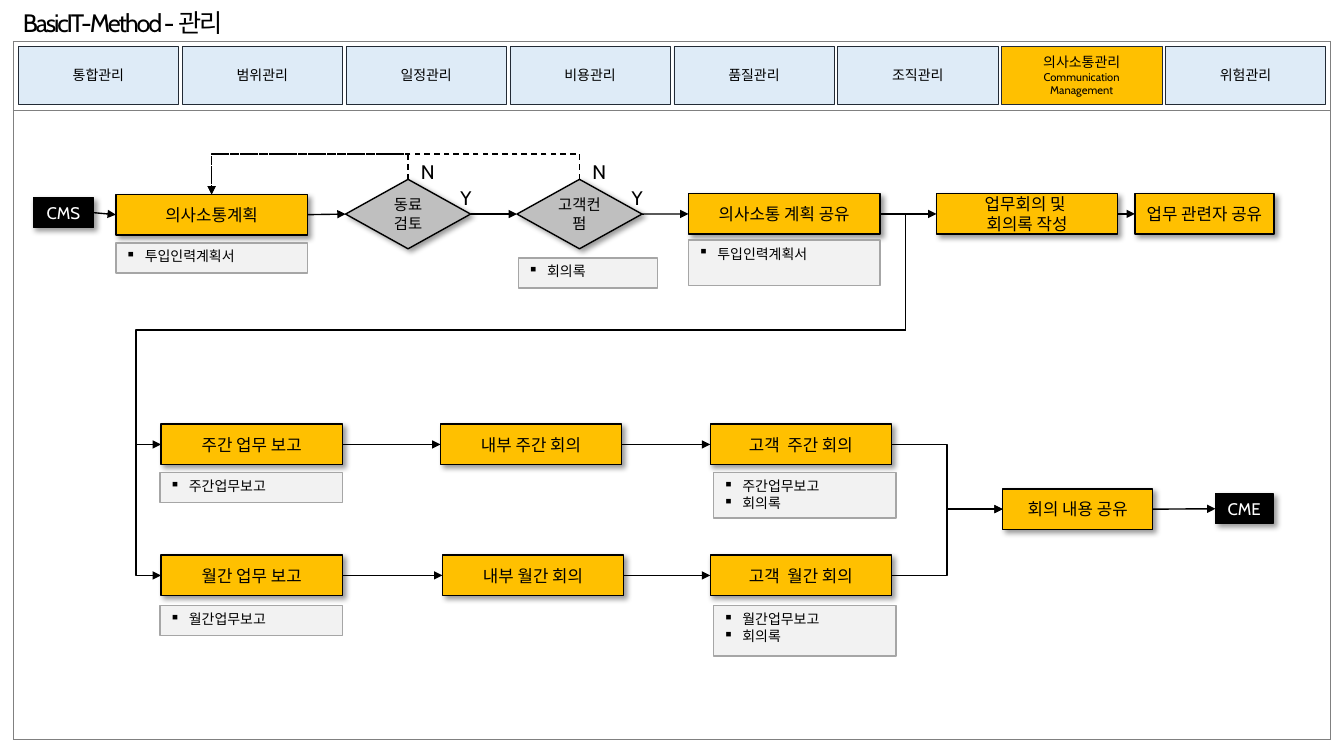
from lxml import etree
from pptx import Presentation
from pptx import util as u
from pptx.dml.color import RGBColor
from pptx.enum import dml, shapes, text
from pptx.oxml.ns import qn

BLACK = RGBColor(0x00, 0x00, 0x00)
WHITE = RGBColor(0xFF, 0xFF, 0xFF)
AMBER = RGBColor(0xFF, 0xC0, 0x00)
PALE_BLUE = RGBColor(0xDE, 0xEB, 0xF7)
NAVY = RGBColor(0x22, 0x2A, 0x35)
SILVER = RGBColor(0xBF, 0xBF, 0xBF)
NOTE_FILL = RGBColor(0xF2, 0xF2, 0xF2)
NOTE_EDGE = RGBColor(0xA6, 0xA6, 0xA6)

RECT = shapes.MSO_SHAPE.RECTANGLE
DIAMOND = shapes.MSO_SHAPE.DIAMOND
TOP, LEFT, RIGHT = 0, 1, 3
STEP_HEIGHT = 1.02
DETOUR = u.Cm(0.64)
AREAS = ["통합관리", "범위관리", "일정관리", "비용관리", "품질관리", "조직관리",
         "의사소통관리", "위험관리"]
CURRENT_AREA = "의사소통관리"


def add_xml(parent, tag, **attributes):
    """Append a DrawingML element and return it."""
    return etree.SubElement(parent, qn(tag), {key: str(value) for key, value in attributes.items()})


def write(para, words, size, color=BLACK, font="Cabin"):
    """Fill a paragraph and format its runs."""
    para.text = words
    for span in para.runs:
        for name, value in {"size": u.Pt(size), "name": font}.items():
            setattr(span.font, name, value)
        span.font.color.rgb = color
        if font != "Cabin":
            add_xml(span._r.get_or_add_rPr(), "a:ea", typeface=font)


def add_box(page, kind, box, fill, edge, weight=1, shadow=False):
    """Draw a filled shape with wrapped, middle-anchored text."""
    shape = page.shapes.add_shape(kind, *(u.Cm(length) for length in box))
    shape.shadow.inherit = False
    shape.fill.solid()
    shape.fill.fore_color.rgb = fill
    shape.line.color.rgb = edge
    shape.line.width = u.Pt(weight)
    shape.text_frame.word_wrap = True
    shape.text_frame.vertical_anchor = text.MSO_ANCHOR.MIDDLE
    if shadow:
        effects = shape._element.spPr.find(qn("a:effectLst"))
        outer = add_xml(effects, "a:outerShdw", blurRad=u.Pt(4), dist=u.Pt(3),
                        dir=45 * 60000, algn="tl", rotWithShape=0)
        add_xml(add_xml(outer, "a:srgbClr", val=BLACK), "a:alpha", val=40000)
    return shape


def add_step(page, box, words, fill=AMBER, color=BLACK, kind=RECT, size=12):
    """Draw one step of the flow."""
    step = add_box(page, kind, box, fill, BLACK, shadow=True)
    for index, line in enumerate(words.split("\n")):
        frame = step.text_frame
        para = frame.add_paragraph() if index else frame.paragraphs[0]
        para.alignment = text.PP_ALIGN.CENTER
        write(para, line, size, color)
    return step


def add_note(page, box, *items):
    """Draw a grey box that lists the outputs of a step."""
    frame = add_box(page, RECT, box, NOTE_FILL, NOTE_EDGE).text_frame
    frame.vertical_anchor = text.MSO_ANCHOR.TOP
    for index, item in enumerate(items):
        para = frame.add_paragraph() if index else frame.paragraphs[0]
        para.alignment = text.PP_ALIGN.LEFT
        props = para._p.get_or_add_pPr()
        props.set("marL", str(u.Cm(0.48)))
        props.set("indent", str(u.Cm(-0.48)))
        add_xml(props, "a:buChar", char="▪")
        write(para, item, 10, font="Noto Sans CJK KR")


def add_label(page, box, words, size):
    """Place a line of text that does not wrap and return its paragraph."""
    frame = page.shapes.add_textbox(*(u.Cm(length) for length in box)).text_frame
    frame.word_wrap = False
    frame.auto_size = text.MSO_AUTO_SIZE.SHAPE_TO_FIT_TEXT
    write(frame.paragraphs[0], words, size)
    return frame.paragraphs[0]


def add_arrow(page, start, end, sides=(RIGHT, LEFT), elbow=False, dashed=False):
    """Join two steps with an arrow."""
    kind = shapes.MSO_CONNECTOR.ELBOW if elbow else shapes.MSO_CONNECTOR.STRAIGHT
    arrow = page.shapes.add_connector(kind, 0, 0, 0, 0)
    arrow.begin_connect(start, sides[0])
    arrow.end_connect(end, sides[1])
    arrow.line.color.rgb = BLACK
    arrow.line.width = u.Pt(1)
    if dashed:
        arrow.line.dash_style = dml.MSO_LINE.DASH
    add_xml(arrow.get_or_add_ln(), "a:tailEnd", type="triangle")
    add_xml(arrow._element.spPr, "a:effectLst")
    return arrow


def bend(arrow, preset, *ratios):
    """Set the bends of an elbow arrow as shares of its size."""
    outline = arrow._element.spPr.find(qn("a:prstGeom"))
    outline.set("prst", preset)
    guides = outline.find(qn("a:avLst"))
    for number, ratio in enumerate(ratios, 1):
        name = "adj1" if len(ratios) == 1 else f"adj{number}"
        add_xml(guides, "a:gd", name=name, fmla=f"val {round(ratio * 100000)}")


def add_feedback(page, start, end):
    """Lead a rejected review back over the top of the flow."""
    arrow = add_arrow(page, start, end, (TOP, TOP), elbow=True, dashed=True)
    span, drop = arrow.width, arrow.height
    arrow.left, arrow.top = arrow.left + (span - drop) // 2, arrow.top + (drop - span) // 2
    arrow.width, arrow.height = drop, span
    frame = arrow._element.spPr.find(qn("a:xfrm"))
    for name, value in {"rot": 270 * 60000, "flipH": 1, "flipV": 1}.items():
        frame.set(name, str(value))
    bend(arrow, "bentConnector3", -DETOUR / drop)


def add_frame(page, left, top, width, heights):
    """Draw the outlined table behind the slide."""
    holder = page.shapes.add_table(len(heights), 1, u.Cm(left), u.Cm(top),
                                   u.Cm(width), u.Cm(sum(heights)))
    table = holder.table
    table.first_row = table.horz_banding = False
    for row, height in zip(table.rows, heights):
        row.height = u.Cm(height)
        cell = row.cells[0]
        props = cell._tc.get_or_add_tcPr()
        for side in "LRTB":
            line = add_xml(props, f"a:ln{side}", w=u.Pt(0.5))
            add_xml(add_xml(line, "a:solidFill"), "a:srgbClr", val="808080")
        cell.fill.background()


def add_areas(page, left, top, width, height, pitch):
    """Draw the row of management areas."""
    for index, area in enumerate(AREAS):
        fill = AMBER if area == CURRENT_AREA else PALE_BLUE
        box = (left + index * pitch, top, width, height)
        frame = add_box(page, RECT, box, fill, NAVY, 0.25).text_frame
        write(frame.paragraphs[0], area, 10)
        if area == CURRENT_AREA:
            write(frame.add_paragraph(), "Communication Management", 8)
        for para in frame.paragraphs:
            para.alignment = text.PP_ALIGN.CENTER


def add_planning(page, left, top):
    """Draw the planning flow and return its sharing step."""
    start = add_step(page, (left, top + 0.1, 1.52, 0.76), "CMS", BLACK, WHITE)
    plan = add_step(page, (left + 2.08, top + 0.02, 4.83, STEP_HEIGHT), "의사소통계획")
    reviews = []
    for dx, words in [(7.87, "동료\n검토"), (12.19, "고객컨펌")]:
        x, y = left + dx, top - 0.36
        reviews.append(add_step(page, (x, y, 3.15, 1.75), words, SILVER, kind=DIAMOND, size=11))
        add_label(page, (x + 2.64, y + 0.03, 0.81, 0.86), "Y", 14)
        add_label(page, (x + 1.65, y - 0.61, 0.89, 0.86), "N", 14)
    share, minutes, people = [
        add_step(page, (left + dx, top, width, STEP_HEIGHT), words)
        for dx, width, words in [(16.51, 4.83, "의사소통 계획 공유"),
                                 (22.76, 4.57, "업무회의 및 \v회의록 작성"),
                                 (27.76, 3.51, "업무 관련자 공유")]]
    chain = [start, plan, *reviews, share, minutes, people]
    for before, after in zip(chain, chain[1:]):
        add_arrow(page, before, after)
    for review in reviews:
        add_feedback(page, review, plan)
    add_note(page, (left + 2.08, top + 1.24, 4.83, 0.76), "투입인력계획서")
    add_note(page, (left + 12.22, top + 1.62, 3.51, 0.76), "회의록")
    add_note(page, (left + 16.51, top + 1.17, 4.83, 1.14), "투입인력계획서")
    return share


def add_reporting(page, left, top, source):
    """Draw the weekly and monthly reporting flows that follow the source step."""
    share = add_step(page, (left + 21.21, top + 1.63, 3.78, STEP_HEIGHT), "회의 내용 공유")
    finish = add_step(page, (left + 26.57, top + 1.75, 1.45, 0.76), "CME", BLACK, WHITE)
    add_arrow(page, share, finish)
    rows = [("주간", 0, 7.04, 1.22, 1.14), ("월간", 3.3, 7.09, 1.27, 1.27)]
    for period, dy, inner_dx, note_dy, note_height in rows:
        y = top + dy
        names = [(0, f"{period} 업무 보고"), (inner_dx, f"내부 {period} 회의"),
                 (13.84, f"고객  {period} 회의")]
        chain = [add_step(page, (left + dx, y, 4.57, STEP_HEIGHT), words) for dx, words in names]
        for before, after in zip(chain, chain[1:]):
            add_arrow(page, before, after)
        add_arrow(page, chain[-1], share, elbow=True)
        entry = add_arrow(page, source, chain[0], elbow=True)
        detour = DETOUR / entry.width
        bend(entry, "bentConnector5", -detour, u.Cm(2.93) / entry.height, 1 + detour)
        report = f"{period}업무보고"
        add_note(page, (left - 0.03, y + note_dy, 4.6, 0.76), report)
        add_note(page, (left + 13.92, y + note_dy, 4.6, note_height), report, "회의록")


def main():
    """Build and save the slide."""
    deck = Presentation()
    deck.slide_width, deck.slide_height = u.Cm(33.87), u.Cm(19.05)
    page = deck.slides.add_slide(deck.slide_layouts[6])
    add_frame(page, 0.33, 1.04, 33.2, (1.75, 15.85))
    add_areas(page, 0.46, 1.17, 4.04, 1.45, 4.13)
    title = add_label(page, (0.33, 0.05, 5.77, 1.02), "BasicIT-Method - 관리", 18)
    for span in title.runs:
        span._r.get_or_add_rPr().set("spc", "-150")
    share = add_planning(page, 0.84, 4.88)
    add_reporting(page, 4.06, 10.69, share)
    deck.save("out.pptx")


if __name__ == "__main__":
    main()
